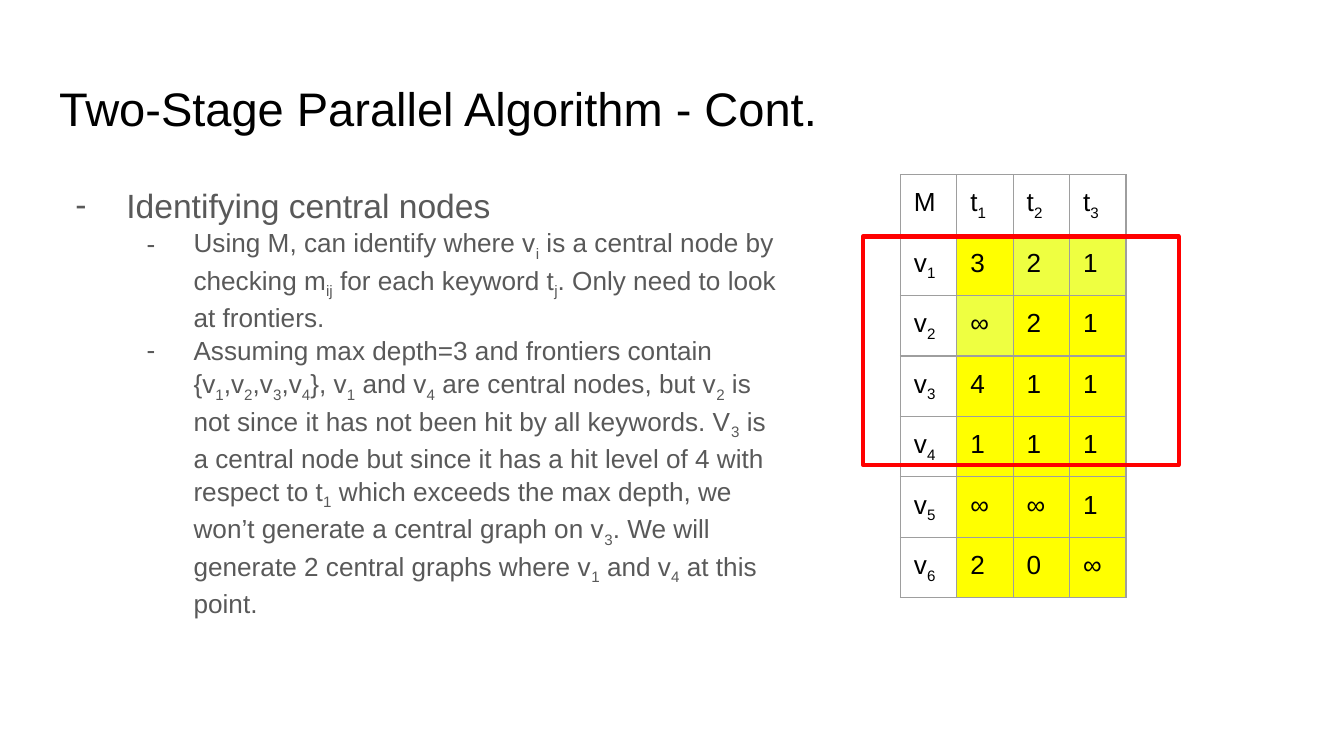
"""Build a slide on identifying central nodes with a hit-level matrix."""
from lxml.etree import SubElement
from pptx import Presentation
from pptx.dml.color import RGBColor
from pptx.enum.shapes import MSO_SHAPE
from pptx.enum.text import MSO_ANCHOR, MSO_AUTO_SIZE, PP_ALIGN
from pptx.oxml.ns import qn
from pptx.util import Inches, Pt


def color(hex_string):
    """Turn a hex string into a colour."""
    return RGBColor.from_string(hex_string)


def add_runs(paragraph, text, size, hex_string):
    """Add runs to a paragraph, with text between underscores as subscript."""
    for index, part in enumerate(text.split("_")):
        if part:
            run = paragraph.add_run()
            run.text = part
            run.font.name = "Arial"
            run.font.size = Pt(size)
            run.font.color.rgb = color(hex_string)
            if index % 2:
                run._r.get_or_add_rPr().set("baseline", "-25000")


presentation = Presentation()
presentation.slide_width = Inches(10)
presentation.slide_height = Inches(10 * 9 / 16)
slide = presentation.slides.add_slide(presentation.slide_layouts[1])

title = slide.shapes.title
body = slide.placeholders[1]
boxes = [
    (title, (0.34, 0.49, 9.32, 0.63), MSO_ANCHOR.TOP),
    (body, (0.34, 1.26, 5.58, 3.74), MSO_ANCHOR.TOP),
]
for shape, bounds, anchor in boxes:
    shape.left, shape.top, shape.width, shape.height = map(Inches, bounds)
    frame = shape.text_frame
    frame.margin_left = frame.margin_right = Inches(0.1)
    frame.margin_top = frame.margin_bottom = Inches(0.1)
    frame.word_wrap = True
    frame.auto_size = MSO_AUTO_SIZE.NONE
    frame.vertical_anchor = anchor

heading = title.text_frame.paragraphs[0]
heading.alignment = PP_ALIGN.LEFT
add_runs(heading, "Two-Stage Parallel Algorithm - Cont.", 25.2, "000000")

bullets = [
    (0, 18, 0.5, -0.38, "Identifying central nodes"),
    (1, 14, 1, -0.35,
     "Using M, can identify where v_i_ is a central node by checking m_ij_ "
     "for each keyword t_j_. Only need to look at frontiers."),
    (1, 14, 1, -0.35,
     "Assuming max depth=3 and frontiers contain {v_1_,v_2_,v_3_,v_4_}, "
     "v_1_ and v_4_ are central nodes, but v_2_ is not since it has not been "
     "hit by all keywords. V_3_ is a central node but since it has a hit level "
     "of 4 with respect to t_1_ which exceeds the max depth, we won’t generate "
     "a central graph on v_3_. We will generate 2 central graphs where v_1_ "
     "and v_4_ at this point."),
]
for index, (level, size, margin, indent, text) in enumerate(bullets):
    frame = body.text_frame
    paragraph = frame.add_paragraph() if index else frame.paragraphs[0]
    paragraph.level = level
    paragraph.line_spacing = 1.05
    paragraph.space_before = paragraph.space_after = Pt(0)
    properties = paragraph._p.get_or_add_pPr()
    properties.set("marL", str(Inches(margin)))
    properties.set("indent", str(Inches(indent)))
    bullet_color = SubElement(properties, qn("a:buClr"))
    SubElement(bullet_color, qn("a:srgbClr"), val="595959")
    SubElement(properties, qn("a:buFont"), typeface="Arial")
    SubElement(properties, qn("a:buChar"), char="-")
    add_runs(paragraph, text, size, "595959")

matrix = [
    ["M", "t_1_", "t_2_", "t_3_"],
    ["v_1_", "3", "2", "1"],
    ["v_2_", "∞", "2", "1"],
    ["v_3_", "4", "1", "1"],
    ["v_4_", "1", "1", "1"],
    ["v_5_", "∞", "∞", "1"],
    ["v_6_", "2", "0", "∞"],
]
frontier_hits = {(1, 2), (1, 3), (2, 1)}
table = slide.shapes.add_table(
    7, 4, Inches(6.7), Inches(1.3), Inches(1.68), Inches(2.8)
).table
table.first_row = table.horz_banding = False
for column in table.columns:
    column.width = Inches(0.42)
for row_index, values in enumerate(matrix):
    table.rows[row_index].height = Inches(0.4)
    for column_index, value in enumerate(values):
        cell = table.cell(row_index, column_index)
        cell.margin_left = cell.margin_right = Inches(0.1)
        cell.margin_top = cell.margin_bottom = Inches(0.1)
        add_runs(cell.text_frame.paragraphs[0], value, 14, "000000")
        properties = cell._tc.get_or_add_tcPr()
        for side in ("a:lnL", "a:lnR", "a:lnT", "a:lnB"):
            border = SubElement(properties, qn(side), w=str(Pt(0.75)))
            border_fill = SubElement(border, qn("a:solidFill"))
            SubElement(border_fill, qn("a:srgbClr"), val="9E9E9E")
        if row_index and column_index:
            is_hit = (row_index, column_index) in frontier_hits
            cell.fill.solid()
            cell.fill.fore_color.rgb = color("EEFF41" if is_hit else "FFFF00")
        else:
            cell.fill.background()

frontier_frame = slide.shapes.add_shape(
    MSO_SHAPE.RECTANGLE, Inches(6.42), Inches(1.76), Inches(2.35), Inches(1.7)
)
frontier_frame.shadow.inherit = False
frontier_frame.fill.background()
frontier_frame.line.color.rgb = color("FF0000")
frontier_frame.line.width = Pt(2.25)

presentation.save("out.pptx")
